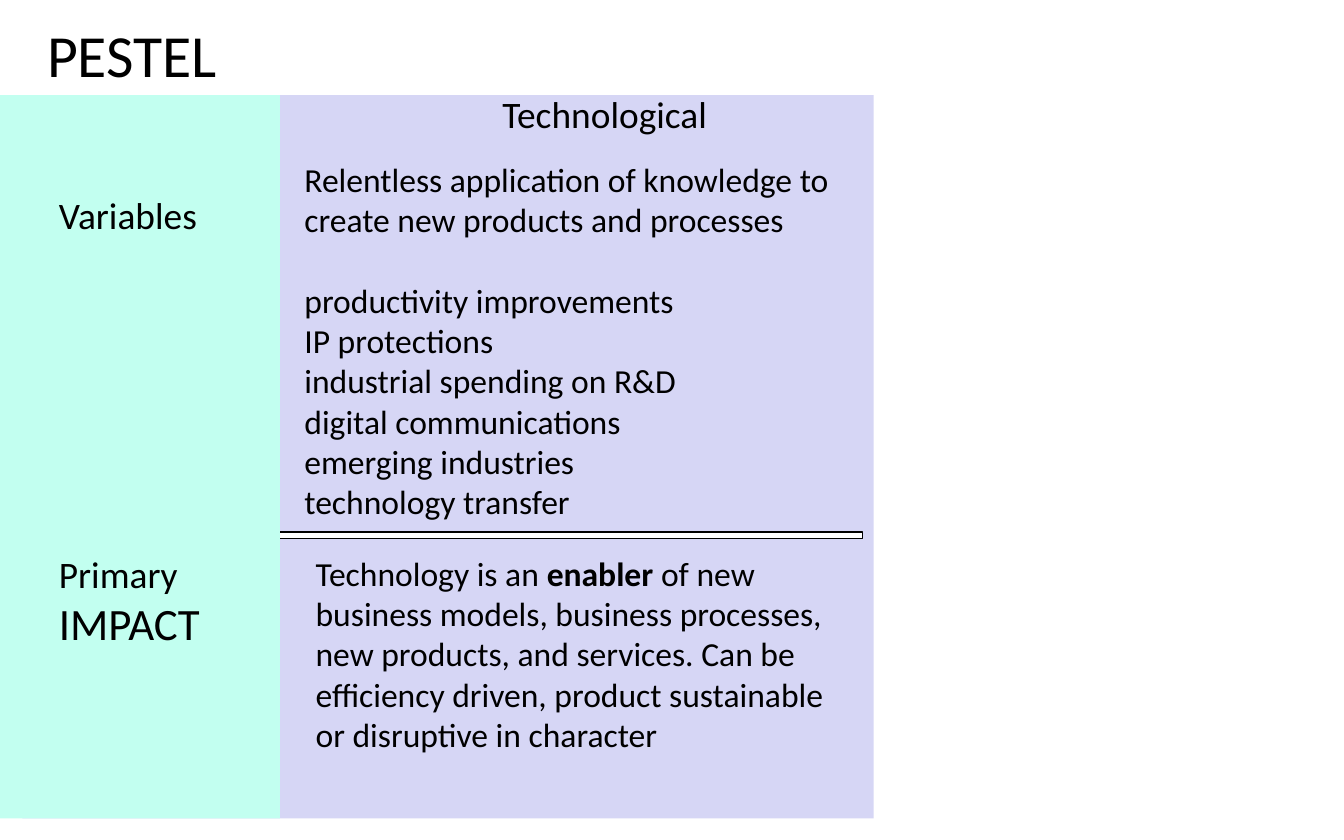
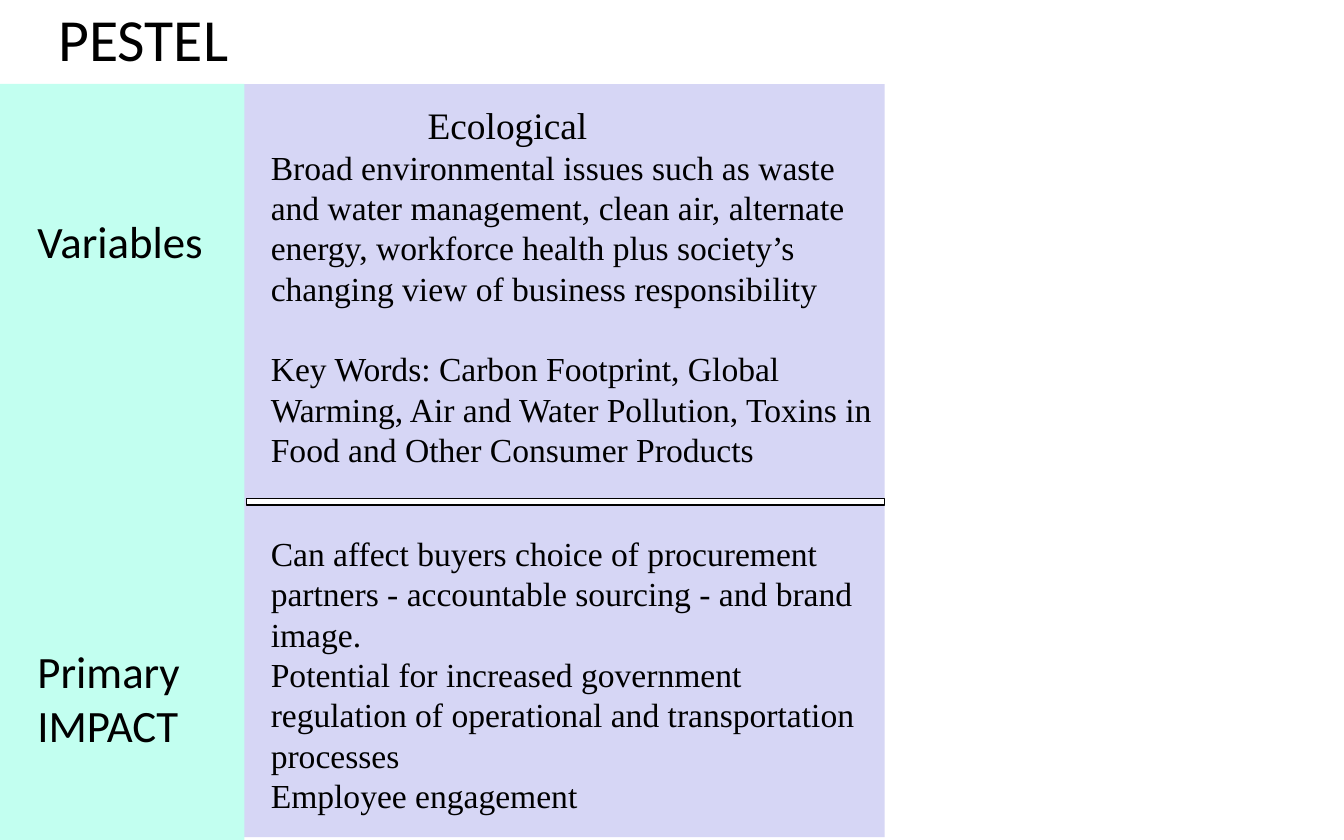
from pptx import Presentation
from pptx.dml.color import RGBColor
from pptx.enum.shapes import MSO_SHAPE as Shape
from pptx.enum.text import MSO_ANCHOR as Anchor, MSO_AUTO_SIZE as AutoSize, PP_ALIGN as Align
from pptx.util import Pt

COLORS = {"ink": "000000", "paper": "FFFFFF", "panel": "D6D6F5", "rail": "C2FFF0"}
LEADING = 1.2


def rgb(name):
    return RGBColor.from_string(COLORS[name])


def place(sp, box):
    sp.left, sp.top, sp.width, sp.height = (Pt(v) for v in box)


def inside(box, offset):
    x, y, w, h = offset
    return box[0] + x, box[1] + y, w, h


def write(tf, paragraphs, size=18, font="Calibri", anchor=Anchor.TOP, sizes=None, gaps=None):
    tf.word_wrap = True
    tf.auto_size = AutoSize.NONE
    tf.vertical_anchor = anchor
    for i, text in enumerate(paragraphs):
        p = tf.paragraphs[0] if i == 0 else tf.add_paragraph()
        pt = (sizes or {}).get(i, size)
        p.alignment = Align.LEFT
        p.line_spacing = Pt(pt * LEADING)
        p.space_before = Pt((gaps or {}).get(i, 0))
        for j, part in enumerate(text.split("*")):
            r = p.add_run()
            r.text = part
            r.font.size = Pt(pt)
            r.font.name = font
            r.font.bold = j % 2 == 1
            r.font.color.rgb = rgb("ink")


def add_text(s, box, paragraphs, **fmt):
    sp = s.shapes.add_textbox(*(Pt(v) for v in box))
    write(sp.text_frame, paragraphs, **fmt)


def add_rect(s, box, fill, line=None):
    sp = s.shapes.add_shape(Shape.RECTANGLE, *(Pt(v) for v in box))
    sp.shadow.inherit = False
    sp.fill.solid()
    sp.fill.fore_color.rgb = rgb(fill)
    if line:
        sp.line.color.rgb = rgb(line)
        sp.line.width = Pt(0.75)
    else:
        sp.line.fill.background()


def add_title(s, left, top):
    sp = s.shapes.title
    place(sp, (left, top, 468, 40))
    write(sp.text_frame, ["PESTEL"], size=32, anchor=Anchor.MIDDLE)


def add_panel(s, box, font, divider, heading, variables, impact):
    add_rect(s, box, "panel")
    add_rect(s, inside(box, divider), "paper", line="ink")
    for (offset, paragraphs, gaps), size in zip((heading, variables, impact), (20, 18, 18)):
        add_text(s, inside(box, offset), paragraphs, size=size, font=font, gaps=gaps)


def add_rail(s, box, offset, size):
    add_rect(s, box, "rail")
    add_text(s, inside(box, offset), ["Variables", "Primary", "IMPACT"],
             size=size, sizes={2: 24}, gaps={1: 7 * size * LEADING})


def technological(s):
    add_title(s, 18, 8.5)
    add_panel(
        s, (12, 51, 456, 387.5), "Calibri",
        divider=(22, 234, 428, 3.6),
        heading=((250, -5.5, 130, 55), ["Technological"], None),
        variables=((144, 30.5, 306, 202), [
            "Relentless application of knowledge to create new products and processes",
            "productivity improvements",
            "IP protections",
            "industrial spending on R&D",
            "digital communications",
            "emerging industries",
            "technology transfer",
        ], {1: 18 * LEADING}),
        impact=((150, 241.5, 300, 115), [
            "Technology is an *enabler* of new business models, business processes, "
            "new products, and services. Can be efficiency driven, product sustainable "
            "or disruptive in character",
        ], None))
    add_rail(s, (0, 51, 150, 387.5), (24.5, 48.5, 95, 252), 20)


def ecological(s):
    add_title(s, 24, 0)
    add_panel(
        s, (0, 45, 474, 403.5), "Times New Roman",
        divider=(132, 222, 342, 3.6),
        heading=((222, 6, 150, 32), ["Ecological"], None),
        variables=((138, 30, 342, 180), [
            "Broad environmental issues such as waste and water management, clean air, "
            "alternate energy, workforce health plus society’s changing view of "
            "business responsibility",
            "Key Words: Carbon Footprint, Global Warming, Air and Water Pollution, "
            "Toxins in Food and Other Consumer Products",
        ], {1: 18 * LEADING}),
        impact=((138, 237, 336, 158.5), [
            "Can affect buyers choice of procurement partners - accountable sourcing "
            "- and brand image.",
            "Potential for increased government regulation of operational and "
            "transportation processes",
            "Employee engagement",
        ], None))
    add_rail(s, (0, 45, 131, 405), (13, 66, 105, 295), 24)


def main():
    prs = Presentation()
    prs.slide_width, prs.slide_height = Pt(720), Pt(450)
    for build in (technological, ecological):
        build(prs.slides.add_slide(prs.slide_layouts[5]))
    prs.save("out.pptx")


if __name__ == "__main__":
    main()
